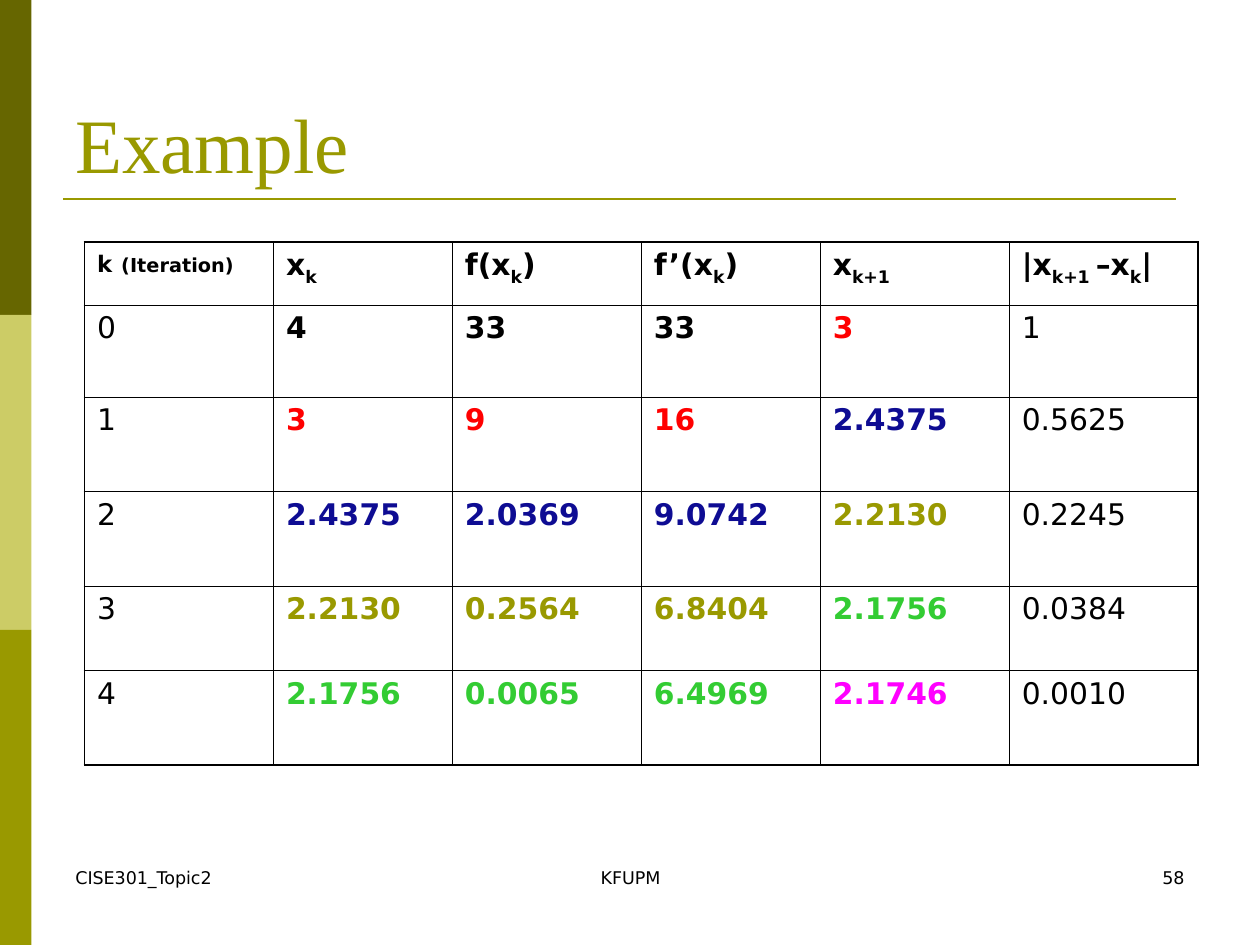
from lxml.etree import SubElement
from pptx import Presentation
from pptx.dml.color import RGBColor
from pptx.enum.shapes import MSO_CONNECTOR as CONN, MSO_SHAPE as SHAPE
from pptx.enum.text import MSO_ANCHOR as ANCHOR, PP_ALIGN as ALIGN
from pptx.oxml.ns import qn
from pptx.util import Inches, Pt

THEME = dict(
    body_font="DejaVu Sans", title_font="Times New Roman",
    title=44, cell=17, k=13, gap=15, note=11, footer=10,
    black="000000", olive="999900",
    bars=("666600", "CCCC66", "999900"),
    # Each iteration has a colour; its result x(k+1) takes the next one.
    iterations=("000000", "FF0000", "0E0C93", "999900", "33CC33", "FF00FF"),
    outer=1.08, inner=0.45, rule=1.5,
)

TITLE = "Example"
FOOTERS = [
    ("CISE301_Topic2", 0.5, 2.33, ALIGN.LEFT),
    ("KFUPM", 3.42, 3.17, ALIGN.CENTER),
    ("58", 7.17, 2.33, ALIGN.RIGHT),
]
SUB = dict(sub=True)
HEADER = [
    [("k", dict(size=THEME["k"])), (" ", dict(size=THEME["gap"])),
     ("(Iteration)", dict(size=THEME["note"]))],
    [("x", {}), ("k", SUB)],
    [("f(x", {}), ("k", SUB), (")", {})],
    [("f’(x", {}), ("k", SUB), (")", {})],
    [("x", {}), ("k+1", SUB)],
    [("|x", {}), ("k+1 ", SUB), ("–x", {}), ("k", SUB), ("|", {})],
]
ROWS = [
    ("0", "4", "33", "33", "3", "1"),
    ("1", "3", "9", "16", "2.4375", "0.5625"),
    ("2", "2.4375", "2.0369", "9.0742", "2.2130", "0.2245"),
    ("3", "2.2130", "0.2564", "6.8404", "2.1756", "0.0384"),
    ("4", "2.1756", "0.0065", "6.4969", "2.1746", "0.0010"),
]
COL_WIDTHS = (1.5, 1.42, 1.5, 1.42, 1.5, 1.5)
ROW_HEIGHTS = (0.5, 0.73, 0.75, 0.75, 0.67, 0.75)
SLIDE_W, SLIDE_H = 10, 7.5


def rgb(color):
    return RGBColor.from_string(color)


def add_run(p, text, size=THEME["cell"], color=THEME["black"], bold=False,
            font=THEME["body_font"], sub=False):
    r = p.add_run()
    r.text = text
    r.font.size, r.font.bold, r.font.name = Pt(size), bold, font
    r.font.color.rgb = rgb(color)
    if sub:
        r.font._element.set("baseline", "-25000")


def add_text(s, text, box, align=ALIGN.LEFT, anchor=ANCHOR.TOP, **fmt):
    tf = s.shapes.add_textbox(*map(Inches, box)).text_frame
    tf.word_wrap, tf.vertical_anchor = True, anchor
    p = tf.paragraphs[0]
    p.alignment = align
    add_run(p, text, **fmt)


def add_frame(s):
    """Draw the side bars and the rule below the title."""
    bar_h = SLIDE_H / len(THEME["bars"])
    for i, color in enumerate(THEME["bars"]):
        sp = s.shapes.add_shape(SHAPE.RECTANGLE, 0, Inches(i * bar_h),
                                Inches(SLIDE_W / 40), Inches(bar_h))
        sp.shadow.inherit = False
        sp.fill.solid()
        sp.fill.fore_color.rgb = rgb(color)
        sp.line.fill.background()
    rule = s.shapes.add_connector(CONN.STRAIGHT,
                                  *map(Inches, (0.5, 1.58, 9.33, 1.58)))
    rule.line.color.rgb = rgb(THEME["olive"])
    rule.line.width = Pt(THEME["rule"])
    SubElement(rule._element.spPr, qn("a:effectLst"))


def set_borders(cell, outer_sides):
    tc_pr = cell._tc.get_or_add_tcPr()
    for i, side in enumerate("LRTB"):
        width = THEME["outer" if side in outer_sides else "inner"]
        ln = SubElement(tc_pr, qn(f"a:ln{side}"), w=str(Pt(width)))
        fill = SubElement(ln, qn("a:solidFill"))
        SubElement(fill, qn("a:srgbClr"), val=THEME["black"])
        tc_pr.insert(i, ln)


def cell_format(row, col):
    if col in (0, len(COL_WIDTHS) - 1):
        return {}
    step = row + 1 if col == 4 else row
    return dict(bold=True, color=THEME["iterations"][step])


def add_iterations(s):
    n_rows, n_cols = len(ROW_HEIGHTS), len(COL_WIDTHS)
    table = s.shapes.add_table(
        n_rows, n_cols, Inches(0.67), Inches(1.92),
        Inches(sum(COL_WIDTHS)), Inches(sum(ROW_HEIGHTS))).table
    table.first_row = table.horz_banding = False
    for col, width in zip(table.columns, COL_WIDTHS):
        col.width = Inches(width)
    for row, height in zip(table.rows, ROW_HEIGHTS):
        row.height = Inches(height)

    header = [[(t, dict(fmt, bold=True)) for t, fmt in runs] for runs in HEADER]
    body = [[[(t, cell_format(i, j))] for j, t in enumerate(row)]
            for i, row in enumerate(ROWS)]
    for i, row in enumerate([header] + body):
        for j, runs in enumerate(row):
            cell = table.cell(i, j)
            cell.margin_left = cell.margin_right = Inches(0.1)
            cell.margin_top = cell.margin_bottom = Inches(0.05)
            cell.fill.background()
            edges = dict(L=j == 0, R=j == n_cols - 1, T=i == 0, B=i == n_rows - 1)
            set_borders(cell, [side for side, outer in edges.items() if outer])
            for text, fmt in runs:
                add_run(cell.text_frame.paragraphs[0], text, **fmt)


def main():
    prs = Presentation()
    prs.slide_width, prs.slide_height = Inches(SLIDE_W), Inches(SLIDE_H)
    s = prs.slides.add_slide(prs.slide_layouts[6])
    add_frame(s)
    for text, left, width, align in FOOTERS:
        add_text(s, text, (left, 6.83, width, 0.5), align, size=THEME["footer"])
    add_text(s, TITLE, (0.5, 0.3, 9, 1.25), anchor=ANCHOR.BOTTOM,
             size=THEME["title"], color=THEME["olive"], font=THEME["title_font"])
    add_iterations(s)
    prs.save("out.pptx")


if __name__ == "__main__":
    main()
